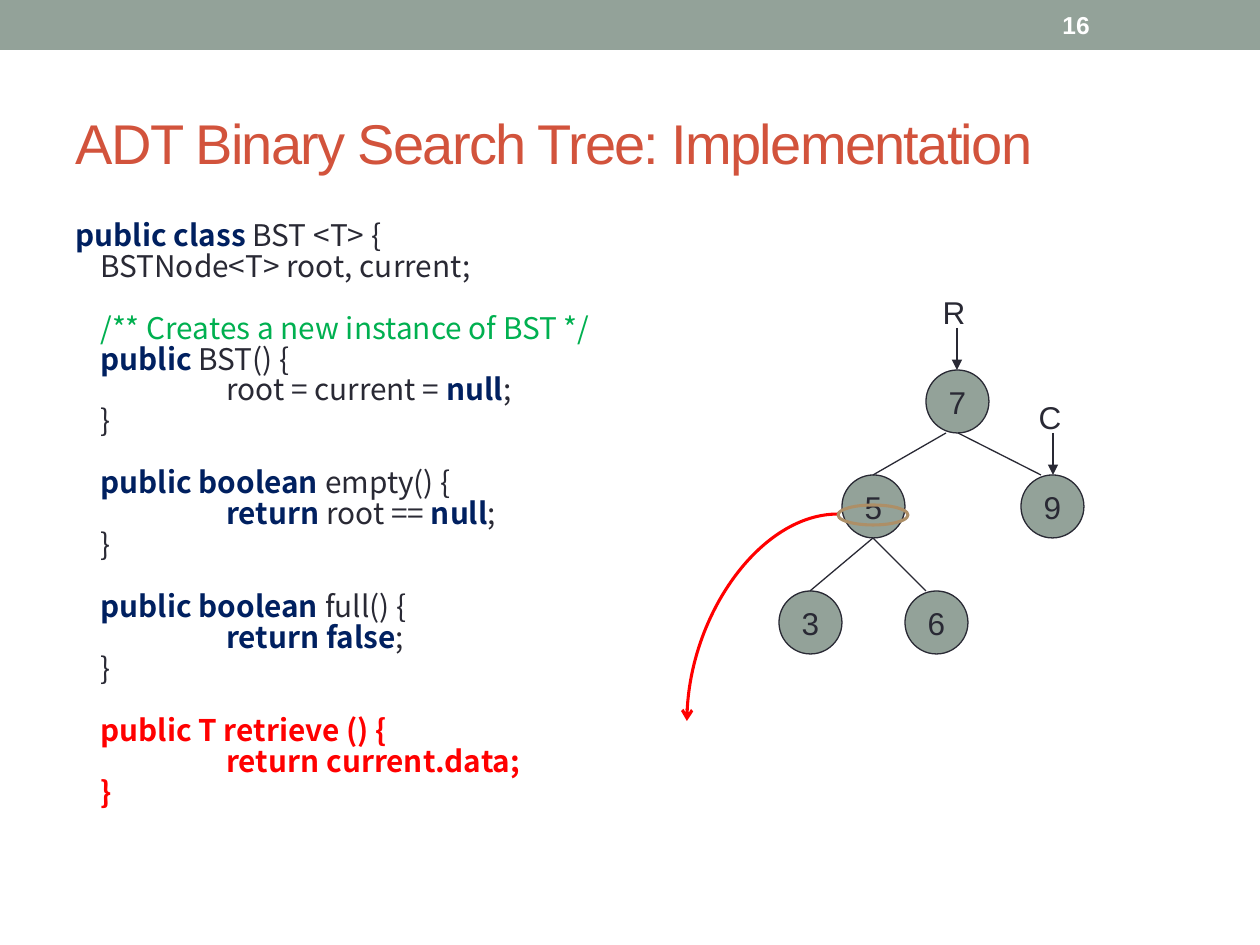
from pptx import Presentation
from pptx import util as u
from pptx.dml.color import RGBColor
from pptx.enum import shapes, text
from pptx.oxml.ns import qn
from lxml import etree

SAGE, INK, NAVY, GREEN, RED = "93A299", "292934", "002060", "00B050", "FF0000"
WHITE, RUST, TAN = "FFFFFF", "D2533C", "AD8F67"
CODE_FONT = "Noto Sans CJK SC"
STEP = 25
TAB = 126
NODE = 63
LINE_GAP, BLOCK_GAP = 3.4, 21.1

CODE = [
    [(0, [("public class ", NAVY), ("BST <T> {", INK)]),
     (STEP, [("BSTNode<T> root, current;", INK)])],
    [(STEP, [("/** Creates a new instance of BST */", GREEN)]),
     (STEP, [("public ", NAVY), ("BST() {", INK)]),
     (STEP + TAB, [("root = current = ", INK), ("null", NAVY), (";", INK)]),
     (STEP, [("}", INK)])],
    [(STEP, [("public boolean ", NAVY), ("empty() {", INK)]),
     (STEP + TAB, [("return ", NAVY), ("root == ", INK), ("null", NAVY), (";", INK)]),
     (STEP, [("}", INK)])],
    [(STEP, [("public boolean ", NAVY), ("full() {", INK)]),
     (STEP + TAB, [("return false", NAVY), (";", INK)]),
     (STEP, [("}", INK)])],
    [(STEP, [("public T retrieve () {", RED)]),
     (STEP + TAB, [("return current.data;", RED)]),
     (STEP, [("}", RED)])],
]


def px(n):
    return u.Emu(round(n * 914400 / 126))


def rgb(value):
    return RGBColor.from_string(value)


def add_run(p, words, size=18, color=INK, font="Arial", bold=False, spacing=None):
    r = p.add_run()
    r.text = words
    r.font.size, r.font.name, r.font.bold = u.Pt(size), font, bold
    r.font.color.rgb = rgb(color)
    if spacing is not None:
        r._r.get_or_add_rPr().set("spc", str(spacing))


def add_shape(s, kind, x, y, w, h, fill=None, line=None, width=0.75):
    sp = s.shapes.add_shape(kind, px(x), px(y), px(w), px(h))
    sp.shadow.inherit = False
    if fill:
        sp.fill.solid()
        sp.fill.fore_color.rgb = rgb(fill)
    else:
        sp.fill.background()
    if line:
        sp.line.color.rgb = rgb(line)
        sp.line.width = u.Pt(width)
    else:
        sp.line.fill.background()
    return sp


def add_line(s, start, end, color=INK, width=0.75, tail=None,
             kind=shapes.MSO_CONNECTOR.STRAIGHT):
    c = s.shapes.add_connector(kind, *map(px, (*start, *end)))
    c.line.color.rgb = rgb(color)
    c.line.width = u.Pt(width)
    props = c._element.spPr
    if tail:
        etree.SubElement(props.find(qn("a:ln")), qn("a:tailEnd"), type=tail)
    etree.SubElement(props, qn("a:effectLst"))
    return c


def add_text(s, x, y, w, h, words, align=text.PP_ALIGN.CENTER, **style):
    sp = s.shapes.add_textbox(px(x), px(y), px(w), px(h))
    tf = sp.text_frame
    tf.word_wrap = True
    tf.vertical_anchor = text.MSO_ANCHOR.MIDDLE
    p = tf.paragraphs[0]
    p.alignment = align
    add_run(p, words, **style)


def header(s, x, y, w, h):
    add_shape(s, shapes.MSO_SHAPE.RECTANGLE, x, y, w, h, fill=SAGE)
    add_text(s, x + 1050, y + 2, 147, 45, "16", align=text.PP_ALIGN.LEFT,
             size=14, color=WHITE, bold=True)


def title(s, x, y, w, h):
    sp = s.shapes.title
    sp.left, sp.top, sp.width, sp.height = map(px, (x, y, w, h))
    tf = sp.text_frame
    tf.vertical_anchor = text.MSO_ANCHOR.MIDDLE
    p = tf.paragraphs[0]
    p.alignment = text.PP_ALIGN.LEFT
    add_run(p, "ADT Binary Search Tree: Implementation",
            size=32, color=RUST, spacing=-100)


def code(s, x, y, w, h):
    tf = s.shapes.add_textbox(px(x), px(y), px(w), px(h)).text_frame
    tf.word_wrap = True
    p = tf.paragraphs[0]
    for b, block in enumerate(CODE):
        for i, (indent, runs) in enumerate(block):
            if b or i:
                p = tf.add_paragraph()
                p.space_before = u.Pt(LINE_GAP if i else BLOCK_GAP)
            p.line_spacing = 0.7
            p._p.get_or_add_pPr().set("marL", str(px(indent)))
            for words, color in runs:
                add_run(p, words, size=17, color=color, font=CODE_FONT,
                        bold=color in (NAVY, RED))


def node(s, x, y, words):
    sp = add_shape(s, shapes.MSO_SHAPE.OVAL, x, y, NODE, NODE, fill=SAGE, line=INK)
    tf = sp.text_frame
    tf.word_wrap = False
    tf.vertical_anchor = text.MSO_ANCHOR.MIDDLE
    p = tf.paragraphs[0]
    p.alignment = text.PP_ALIGN.CENTER
    add_run(p, words)


def pointer(s, x, y, words):
    add_text(s, x - 27, y - 41, 48, 50, words)
    add_line(s, (x, y), (x, y + 42), tail="triangle")


def tree(s, x, y):
    curve = add_line(s, (x + 151, y + 228), (x, y + 435), color=RED, width=1.75,
                     tail="arrow", kind=shapes.MSO_CONNECTOR.CURVE)
    curve._element.spPr.find(qn("a:prstGeom")).set("prst", "curvedConnector2")
    nodes = [("7", 239, 84), ("6", 218, 305), ("3", 92, 305),
             ("5", 155, 189), ("9", 334, 189)]
    for words, dx, dy in nodes:
        node(s, x + dx, y + dy, words)
    edges = [(259, 147, 186, 189), (271, 147, 354, 189),
             (186, 252, 123, 305), (186, 252, 239, 305)]
    for x1, y1, x2, y2 in edges:
        add_line(s, (x + x1, y + y1), (x + x2, y + y2))
    pointer(s, x + 270, y + 42, "R")
    pointer(s, x + 366, y + 147, "C")
    add_shape(s, shapes.MSO_SHAPE.OVAL, x + 151, y + 219, 70, 20,
              line=TAN, width=1.75)


def main():
    prs = Presentation()
    prs.slide_width, prs.slide_height = px(1260), px(945)
    s = prs.slides.add_slide(prs.slide_layouts[5])
    header(s, 0, 0, 1260, 50)
    title(s, 63, 74, 1134, 136)
    code(s, 63, 220, 1134, 672)
    tree(s, 687, 286)
    prs.save("out.pptx")


if __name__ == "__main__":
    main()
